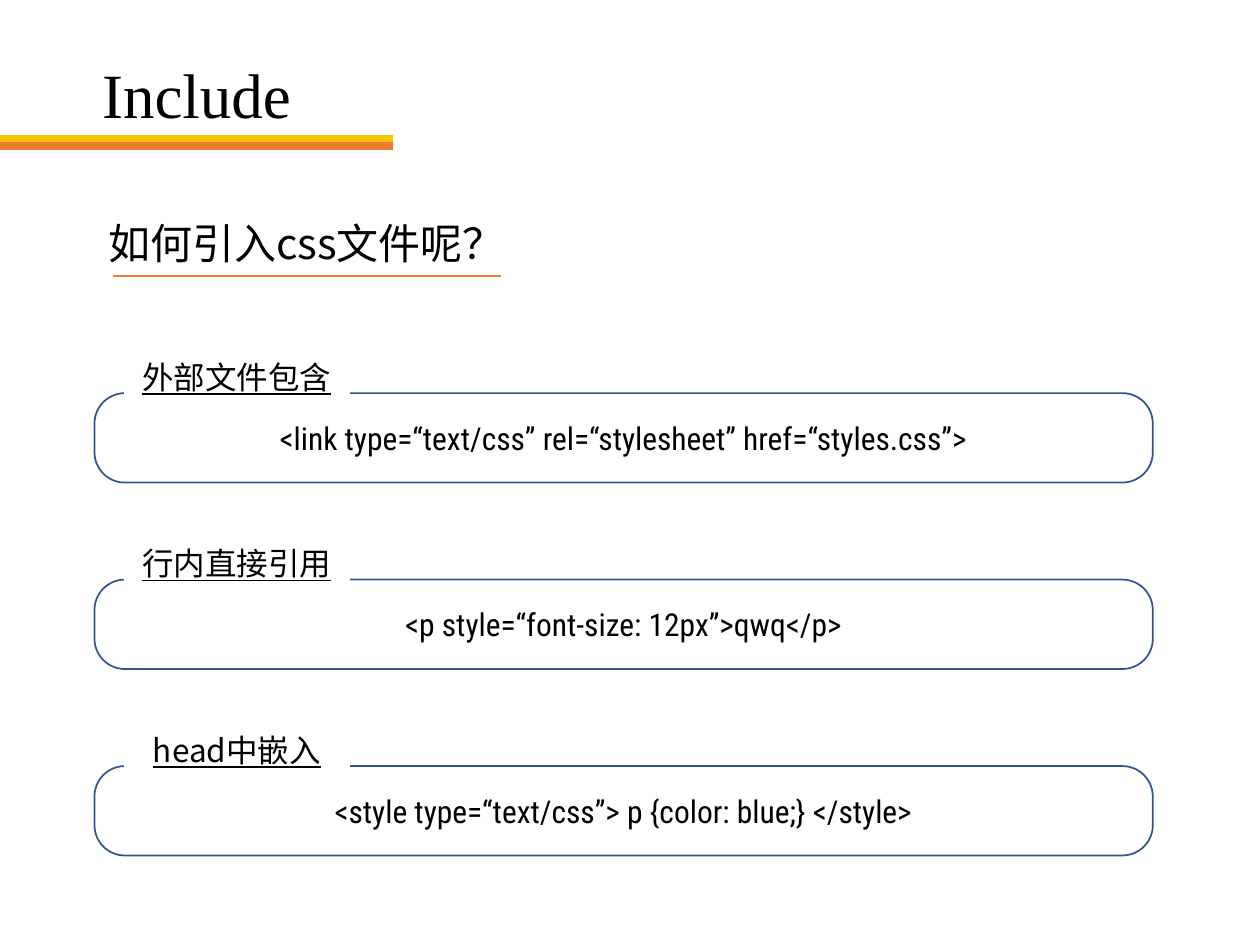
from dataclasses import dataclass

from lxml.etree import SubElement
from pptx import Presentation
from pptx.dml.color import RGBColor
from pptx.enum.shapes import MSO_CONNECTOR, MSO_SHAPE
from pptx.enum.text import MSO_ANCHOR, MSO_AUTO_SIZE, PP_ALIGN
from pptx.oxml.ns import qn
from pptx.util import Pt


@dataclass(frozen=True)
class Theme:
    black: str = "000000"
    white: str = "FFFFFF"
    gold: str = "FFC000"
    orange: str = "ED7D31"
    blue: str = "325491"
    title_font: str = "Times New Roman"
    chinese_font: str = "Noto Sans CJK SC"
    code_font: str = "Roboto Condensed"
    title_size: float = 36
    question_size: float = 24
    body_size: float = 18
    thin: float = 1
    thick: float = 4.5


@dataclass(frozen=True)
class Frame:
    left: float
    top: float
    width: float
    height: float

    def lengths(self) -> tuple:
        return tuple(Pt(value) for value in (self.left, self.top, self.width, self.height))


@dataclass(frozen=True)
class Method:
    label: str
    code: str


THEME = Theme()
METHODS = [
    Method("外部文件包含", "<link type=“text/css” rel=“stylesheet” href=“styles.css”>"),
    Method("行内直接引用", "<p style=“font-size: 12px”>qwq</p>"),
    Method("head中嵌入", "<style type=“text/css”> p {color: blue;} </style>"),
]
FIRST_TOP = 224.64
PITCH = 106.56


def write(box, text: str, font: str, size: float, align=PP_ALIGN.CENTER,
          underline=None, spacing=None, anchor=MSO_ANCHOR.MIDDLE, wrap=True) -> None:
    box.text_frame.word_wrap = wrap
    box.text_frame.vertical_anchor = anchor
    para = box.text_frame.paragraphs[0]
    para.alignment = align
    para.line_spacing = spacing
    span = para.add_run()
    span.text = text
    formats = {"name": font, "size": Pt(size), "underline": underline}
    for name, value in formats.items():
        setattr(span.font, name, value)
    span.font.color.rgb = RGBColor.from_string(THEME.black)
    SubElement(span.font._element, qn("a:ea")).set("typeface", font)


def add_rule(page, left: float, right: float, height: float, color: str, weight: float) -> None:
    rule = page.shapes.add_connector(
        MSO_CONNECTOR.STRAIGHT, Pt(left), Pt(height), Pt(right), Pt(height))
    rule.line.color.rgb = RGBColor.from_string(color)
    rule.line.width = Pt(weight)
    SubElement(rule._element.spPr, qn("a:effectLst"))


def add_panel(page, kind: MSO_SHAPE, frame: Frame, outline: str):
    panel = page.shapes.add_shape(kind, *frame.lengths())
    panel.shadow.inherit = False
    panel.fill.solid()
    panel.fill.fore_color.rgb = RGBColor.from_string(THEME.white)
    panel.line.color.rgb = RGBColor.from_string(outline)
    panel.line.width = Pt(THEME.thin)
    return panel


def add_method(page, method: Method, top: float) -> None:
    panel = add_panel(page, MSO_SHAPE.ROUNDED_RECTANGLE, Frame(54, top, 604.8, 51.12), THEME.blue)
    panel.adjustments[0] = 0.34
    write(panel, method.code, THEME.code_font, THEME.body_size)
    label = add_panel(page, MSO_SHAPE.RECTANGLE, Frame(71.28, top - 26.64, 128.16, 34.56), THEME.white)
    write(label, method.label, THEME.chinese_font, THEME.body_size, underline=True)


def main() -> None:
    deck = Presentation()
    deck.slide_width, deck.slide_height = Pt(720), Pt(540)
    page = deck.slides.add_slide(deck.slide_layouts[6])

    add_rule(page, 0, 224.64, 79.2, THEME.gold, THEME.thick)
    add_rule(page, 0, 224.64, 83.52, THEME.orange, THEME.thick)
    title = page.shapes.add_textbox(*Frame(0, 30.24, 224.64, 51.12).lengths())
    write(title, "Include", THEME.title_font, THEME.title_size, spacing=0.9)

    for index, method in enumerate(METHODS):
        add_method(page, method, FIRST_TOP + index * PITCH)

    add_rule(page, 64.8, 286.56, 157.68, THEME.orange, THEME.thin)
    question = page.shapes.add_textbox(*Frame(54.72, 120.96, 236.16, 36).lengths())
    write(question, "如何引入css文件呢？", THEME.chinese_font, THEME.question_size,
          align=PP_ALIGN.LEFT, anchor=MSO_ANCHOR.TOP, wrap=False)
    question.text_frame.auto_size = MSO_AUTO_SIZE.SHAPE_TO_FIT_TEXT

    deck.save("out.pptx")


if __name__ == "__main__":
    main()
